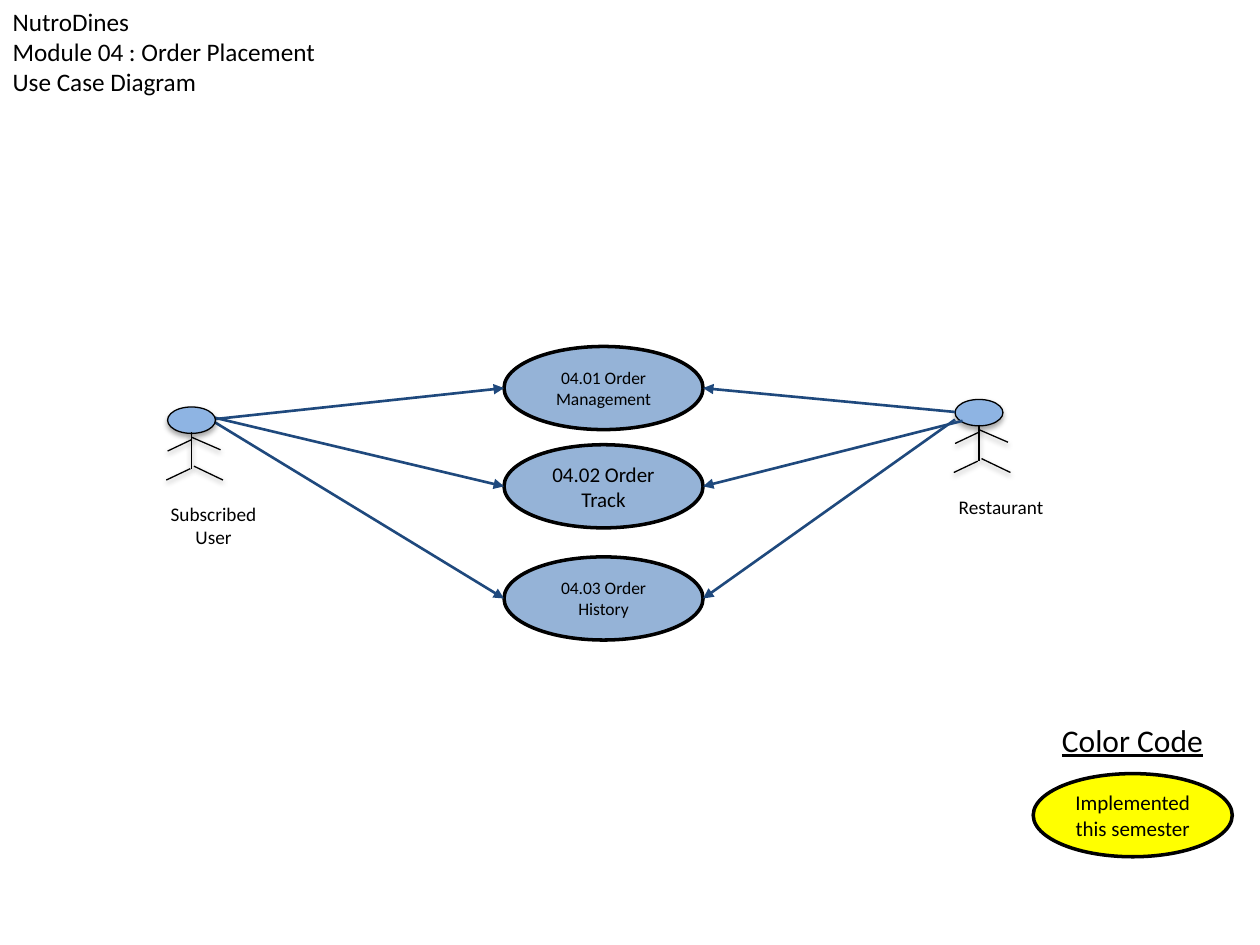
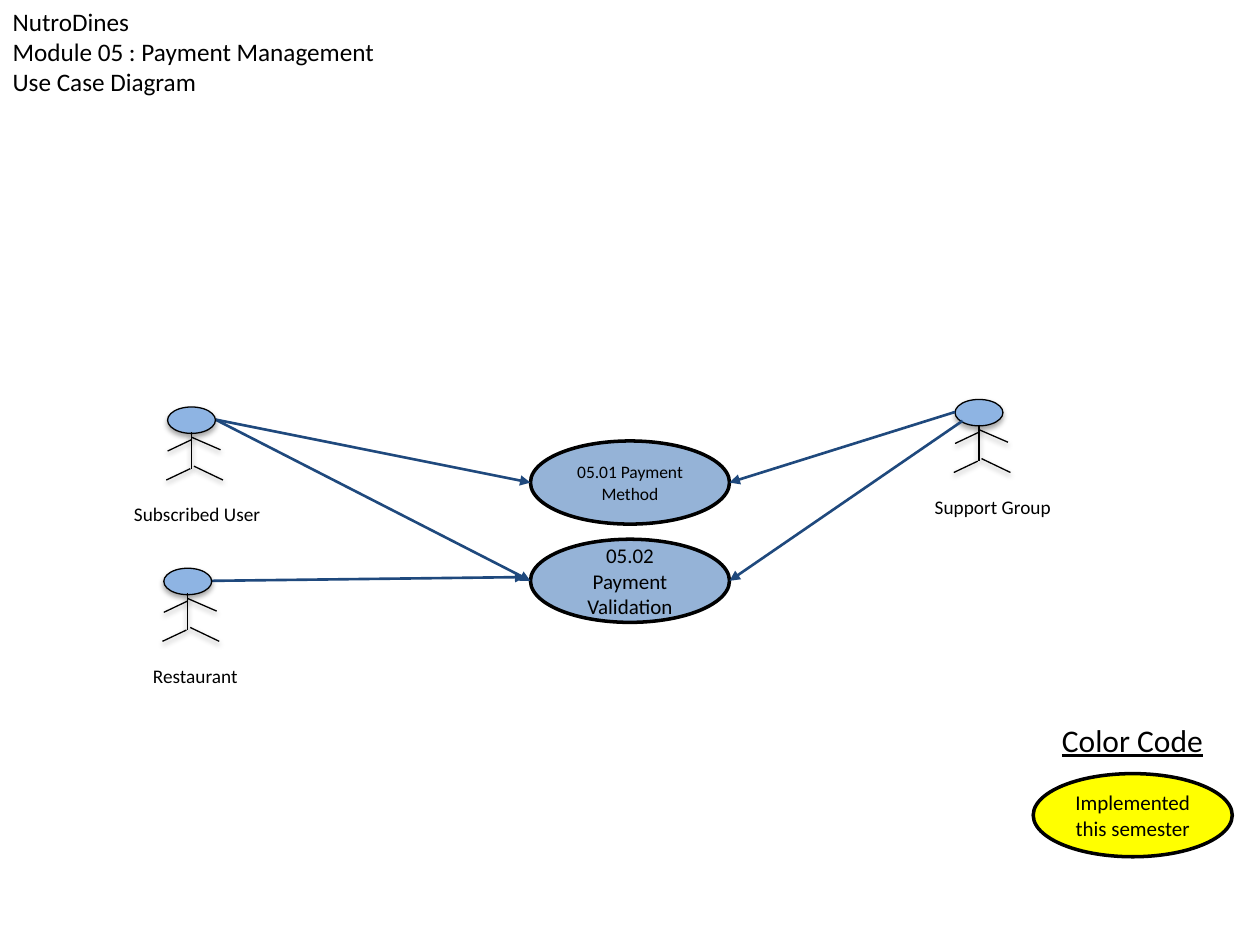
from lxml import etree
from pptx import Presentation
from pptx import util as u
from pptx.dml.color import RGBColor
from pptx.enum import shapes, text
from pptx.oxml.ns import qn

Inches, Pt = u.Inches, u.Pt

# Shared look
FONT = "Calibri"
BLACK, NAVY = "000000", "1F497D"
HEAD_BLUE, CASE_BLUE, YELLOW = "8EB4E3", "95B3D7", "FFFF00"
CASE_W, CASE_H = 1.58, 0.66
HEAD_W, HEAD_H = 0.38, 0.21
LABEL_DROP = 0.71

# Limbs of an actor, measured from the top left corner of the head
LIMBS = [
    ((0.19, 0.20), (0.19, 0.49)),   # body
    ((0.19, 0.26), (0.00, 0.35)),   # left arm
    ((0.18, 0.49), (-0.01, 0.58)),  # left leg
    ((0.19, 0.24), (0.42, 0.34)),   # right arm
    ((0.21, 0.47), (0.44, 0.58)),   # right leg
]

# Content
# actors: label, head left, head top, label left, label width, label height
# cases: label, top, text size
# arrows: start point, index of the use case, gap before its edge
DIAGRAMS = [
    {
        "title": ["NutroDines", "Module 04 : Order Placement", "Use Case Diagram"],
        "actors": [
            ("Restaurant", 7.58, 3.17, 7.42, 1.05, 0.28),
            ("Subscribed User", 1.33, 3.23, 1.17, 1.05, 0.47),
        ],
        "case_left": 4.0,
        "cases": [
            ("04.01 Order Management", 2.75, 10),
            ("04.02 Order Track", 3.53, 12),
            ("04.03 Order History", 4.42, 10),
        ],
        "arrows": [
            ((1.67, 3.33), 0, (0, 0)),
            ((1.64, 3.30), 1, (0, 0)),
            ((1.67, 3.33), 2, (0, 0)),
            ((7.58, 3.27), 0, (0, 0)),
            ((7.64, 3.34), 1, (0, 0)),
            ((7.58, 3.33), 2, (0, 0)),
        ],
    },
    {
        "title": ["NutroDines", "Module 05 : Payment Management", "Use Case Diagram"],
        "actors": [
            ("Support Group", 7.58, 3.17, 7.13, 1.5, 0.28),
            ("Subscribed User", 1.33, 3.23, 0.92, 1.29, 0.28),
            ("Restaurant", 1.3, 4.51, 0.92, 1.26, 0.28),
        ],
        "case_left": 4.21,
        "cases": [
            ("05.01 Payment Method", 3.5, 10),
            ("05.02 Payment Validation", 4.28, 12),
        ],
        "arrows": [
            ((1.71, 3.33), 0, (0, 0)),
            ((1.71, 3.33), 1, (0, 0)),
            ((7.58, 3.27), 0, (0, 0)),
            ((7.64, 3.34), 1, (0, 0)),
            ((1.68, 4.61), 1, (-0.04, -0.03)),
        ],
    },
]


def colour(code):
    return RGBColor.from_string(code)


def add_span(para, words, size, underline=None):
    span = para.add_run()
    span.text = words
    span.font.name = FONT
    span.font.size = Pt(size)
    span.font.color.rgb = colour(BLACK)
    span.font.underline = underline


def add_shadow(shape, distance, opacity):
    """Give the shape its own effect list holding one soft shadow below it."""
    properties = shape.element.spPr
    effects = properties.find(qn("a:effectLst"))
    if effects is None:
        effects = etree.SubElement(properties, qn("a:effectLst"))
    shadow = etree.SubElement(effects, qn("a:outerShdw"), blurRad=str(Pt(3.1)),
                              dist=str(Pt(distance)), dir="5400000", rotWithShape="0")
    tint = etree.SubElement(shadow, qn("a:srgbClr"), val=BLACK)
    etree.SubElement(tint, qn("a:alpha"), val=str(opacity * 1000))


def add_oval(parent, left, top, width, height, fill, weight):
    oval = parent.shapes.add_shape(shapes.MSO_SHAPE.OVAL, Inches(left), Inches(top),
                                   Inches(width), Inches(height))
    oval.fill.solid()
    oval.fill.fore_color.rgb = colour(fill)
    oval.line.color.rgb = colour(BLACK)
    oval.line.width = Pt(weight)
    oval.shadow.inherit = False
    return oval


def add_line(parent, start, end, code, weight):
    line = parent.shapes.add_connector(shapes.MSO_CONNECTOR.STRAIGHT,
                                       *(Inches(v) for v in (*start, *end)))
    line.line.color.rgb = colour(code)
    line.line.width = Pt(weight)
    return line


def add_label(parent, words, left, top, width, height, size, wrap=True,
              align=text.PP_ALIGN.CENTER, underline=None):
    box = parent.shapes.add_textbox(Inches(left), Inches(top), Inches(width), Inches(height))
    box.text_frame.word_wrap = wrap
    para = box.text_frame.paragraphs[0]
    para.alignment = align
    add_span(para, words, size, underline)


def add_case(page, words, left, top, size, fill=CASE_BLUE):
    oval = add_oval(page, left, top, CASE_W, CASE_H, fill, 2)
    oval.text_frame.word_wrap = True
    oval.text_frame.vertical_anchor = text.MSO_ANCHOR.MIDDLE
    para = oval.text_frame.paragraphs[0]
    para.alignment = text.PP_ALIGN.CENTER
    add_span(para, words, size)


def add_actor(page, words, left, top, label_left, label_width, label_height):
    actor = page.shapes.add_group_shape()
    head = add_oval(actor, left, top, HEAD_W, HEAD_H, HEAD_BLUE, 0.75)
    add_shadow(head, 1.8, 35)
    for start, end in LIMBS:
        limb = add_line(actor, (left + start[0], top + start[1]),
                        (left + end[0], top + end[1]), BLACK, 0.75)
        add_shadow(limb, 1.6, 38)
    add_label(actor, words, label_left, top + LABEL_DROP, label_width, label_height, 11)


def add_arrow(page, start, end):
    arrow = add_line(page, start, end, NAVY, 1.5)
    properties = arrow.element.spPr
    etree.SubElement(properties.find(qn("a:ln")), qn("a:tailEnd"), type="triangle")
    etree.SubElement(properties, qn("a:effectLst"))


def set_title(page, lines):
    title = page.shapes.title
    title.left, title.top = Inches(0), Inches(0.24)
    title.width, title.height = Inches(4.33), Inches(0.58)
    frame = title.text_frame
    frame.word_wrap = True
    frame.auto_size = text.MSO_AUTO_SIZE.NONE
    frame.vertical_anchor = text.MSO_ANCHOR.MIDDLE
    # The larger bottom inset lifts the three lines to the page's top edge
    frame.margin_top, frame.margin_bottom = Inches(0.05), Inches(0.29)
    para = frame.paragraphs[0]
    para.alignment = text.PP_ALIGN.LEFT
    for number, words in enumerate(lines):
        if number:
            para.add_line_break()
        add_span(para, words, 14.4)


def add_legend(page):
    add_label(page, "Color Code", 8.33, 5.67, 1.33, 0.4, 18, wrap=False,
              align=text.PP_ALIGN.LEFT, underline=True)
    add_case(page, "Implemented this semester", 8.2, 6.14, 12, YELLOW)


# Build the deck
deck = Presentation()
deck.slide_width, deck.slide_height = Inches(10), Inches(7.5)
title_only = deck.slide_layouts[5]

for diagram in DIAGRAMS:
    page = deck.slides.add_slide(title_only)
    set_title(page, diagram["title"])
    right_actor, *left_actors = diagram["actors"]
    case_left, cases = diagram["case_left"], diagram["cases"]

    add_actor(page, *right_actor)
    for words, top, size in cases:
        add_case(page, words, case_left, top, size)
    add_legend(page)

    # Each arrow ends at the middle of the near side of its use case
    for start, index, (gap_x, gap_y) in diagram["arrows"]:
        edge = case_left if start[0] < case_left else case_left + CASE_W
        middle = cases[index][1] + CASE_H / 2
        add_arrow(page, start, (edge + gap_x, middle + gap_y))

    for actor in left_actors:
        add_actor(page, *actor)

deck.save("out.pptx")
